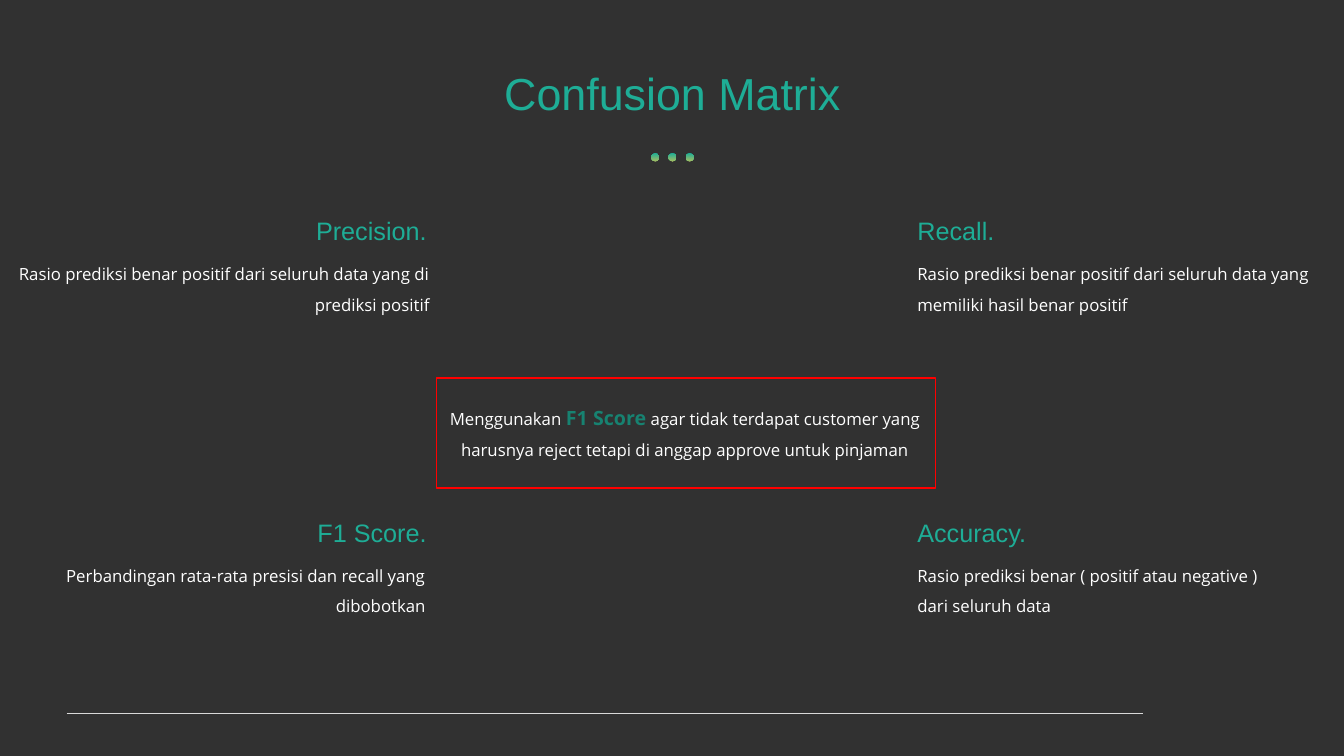
from pptx import Presentation
from pptx.dml.color import RGBColor
from pptx.enum.shapes import MSO_CONNECTOR, MSO_SHAPE
from pptx.enum.text import MSO_ANCHOR, PP_ALIGN
from pptx.oxml.ns import qn
from pptx.util import Inches, Pt
from lxml.etree import SubElement

COLORS = {
    "background": "313131",
    "teal": "1EAD96",
    "dark_teal": "178271",
    "lime": "A3BE63",
    "white": "FFFFFF",
    "rule": "D9D9D9",
    "red": "FF0000",
}
HEADING_FONT, BODY_FONT = "Arial", "Open Sans"


def color(name):
    return RGBColor.from_string(COLORS[name])


def set_font(font, name, size, color_name):
    font.name = name
    font.size = Pt(size)
    font.color.rgb = color(color_name)


def add_text(slide, box, text, font, align, spacing=None, anchor=MSO_ANCHOR.TOP):
    """Place one wrapped paragraph; font is (name, size, color name)."""
    shape = slide.shapes.add_textbox(*map(Inches, box))
    frame = shape.text_frame
    frame.word_wrap = True
    frame.vertical_anchor = anchor
    paragraph = frame.paragraphs[0]
    paragraph.alignment = align
    if spacing:
        paragraph.line_spacing = spacing
    set_font(paragraph.font, *font)
    if text:
        paragraph.add_run().text = text
    return paragraph


def add_title(slide, box, text):
    left, top, width, height = box
    add_text(slide, box, text, (HEADING_FONT, 32, "teal"), PP_ALIGN.CENTER,
             anchor=MSO_ANCHOR.MIDDLE)

    # Three gradient dots centred below the title
    size, pitch = 0.08, 0.17
    first_left = left + (width - size) / 2 - pitch
    group = slide.shapes.add_group_shape()
    for index in range(3):
        dot = group.shapes.add_shape(
            MSO_SHAPE.OVAL, Inches(first_left + index * pitch),
            Inches(top + 0.94), Inches(size), Inches(size))
        dot.shadow.inherit = False
        dot.line.fill.background()
        dot.fill.gradient()
        dot.fill.gradient_angle = 270
        for stop, name in zip(dot.fill.gradient_stops, ("teal", "lime")):
            stop.color.rgb = color(name)
            stop.position = 0 if name == "teal" else 1


def add_metric(slide, box, heading, description, align):
    """Heading of fixed width at the inner edge, description below it."""
    left, top, width = box
    heading_width = 2.59
    heading_left = 4.33 - heading_width if align == PP_ALIGN.RIGHT else left
    add_text(slide, (heading_left, top, heading_width, 0.4), heading,
             (HEADING_FONT, 18, "teal"), align)
    add_text(slide, (left, top + 0.38, width, 0.67), description,
             (BODY_FONT, 12, "white"), align, spacing=1.5)


def add_conclusion(slide, box):
    left, top, width, height = box
    paragraph = add_text(slide, (left - 0.32, top + 0.11, 5.57, 0.73), "",
                         (BODY_FONT, 12, "white"), PP_ALIGN.CENTER, spacing=1.5)
    paragraph.add_run().text = "Menggunakan "
    emphasis = paragraph.add_run()
    emphasis.text = "F1 Score"
    set_font(emphasis.font, BODY_FONT, 14, "dark_teal")
    emphasis.font.bold = True
    paragraph.add_run().text = (" agar tidak terdapat customer yang harusnya reject "
                                "tetapi di anggap approve untuk pinjaman")

    # Red frame
    frame = slide.shapes.add_shape(MSO_SHAPE.RECTANGLE, *map(Inches, box))
    frame.shadow.inherit = False
    frame.fill.background()
    frame.line.color.rgb = color("red")
    frame.line.width = Pt(1)


def add_footer_rule(slide, left, right, top):
    rule = slide.shapes.add_connector(
        MSO_CONNECTOR.STRAIGHT, Inches(left), Inches(top), Inches(right), Inches(top))
    rule.line.color.rgb = color("rule")
    rule.line.width = Pt(1)
    SubElement(rule.element.spPr, qn("a:effectLst"))


METRICS = [
    ((-0.04, 2.09, 4.4), "Precision.",
     "Rasio prediksi benar positif dari seluruh data yang di prediksi positif",
     PP_ALIGN.RIGHT),
    ((9, 2.09, 4.22), "Recall.",
     "Rasio prediksi benar positif dari seluruh data yang memiliki hasil benar positif",
     PP_ALIGN.LEFT),
    ((0.12, 5.08, 4.2), "F1 Score.",
     "Perbandingan rata-rata presisi dan recall yang dibobotkan",
     PP_ALIGN.RIGHT),
    ((9, 5.08, 3.79), "Accuracy.",
     "Rasio prediksi benar ( positif atau negative ) dari seluruh data",
     PP_ALIGN.LEFT),
]

presentation = Presentation()
presentation.slide_width = Inches(13.33)
presentation.slide_height = Inches(7.5)
slide = presentation.slides.add_slide(presentation.slide_layouts[6])
slide.background.fill.solid()
slide.background.fill.fore_color.rgb = color("background")

add_footer_rule(slide, 0.66, 11.34, 7.08)
add_title(slide, (3.67, 0.58, 6, 0.67), "Confusion Matrix")
for metric in METRICS:
    add_metric(slide, *metric)
add_conclusion(slide, (4.33, 3.75, 4.95, 1.09))

presentation.save("out.pptx")
